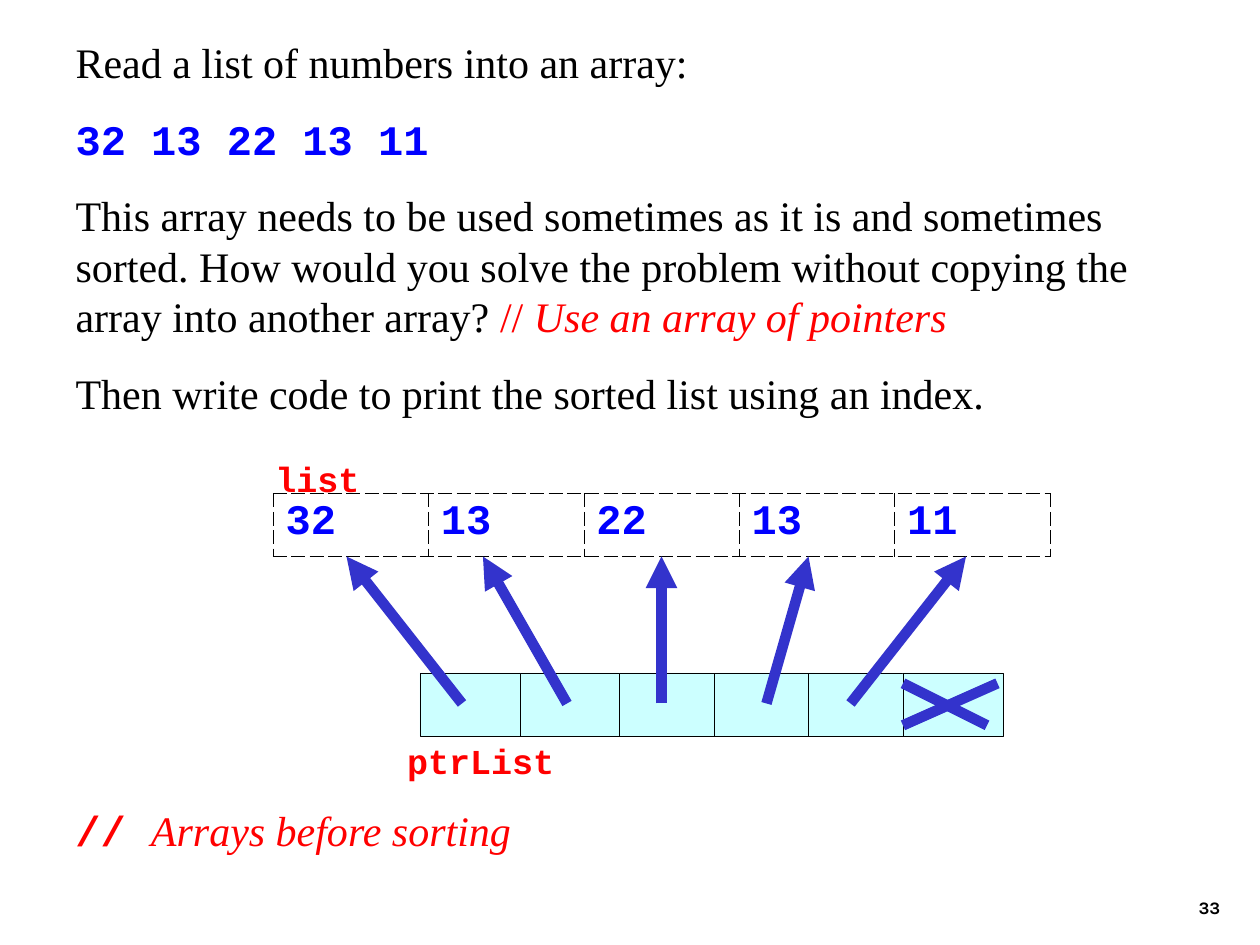
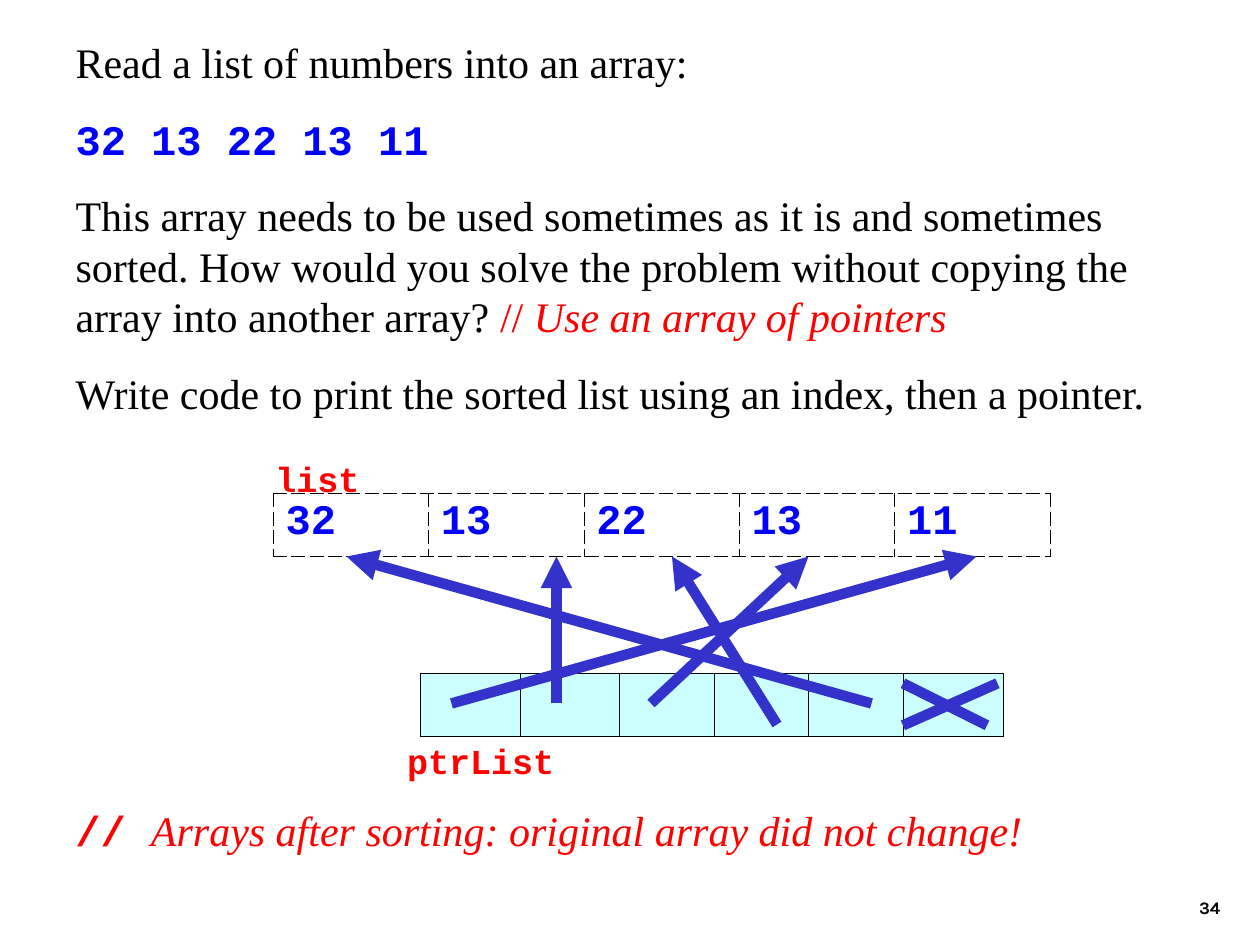
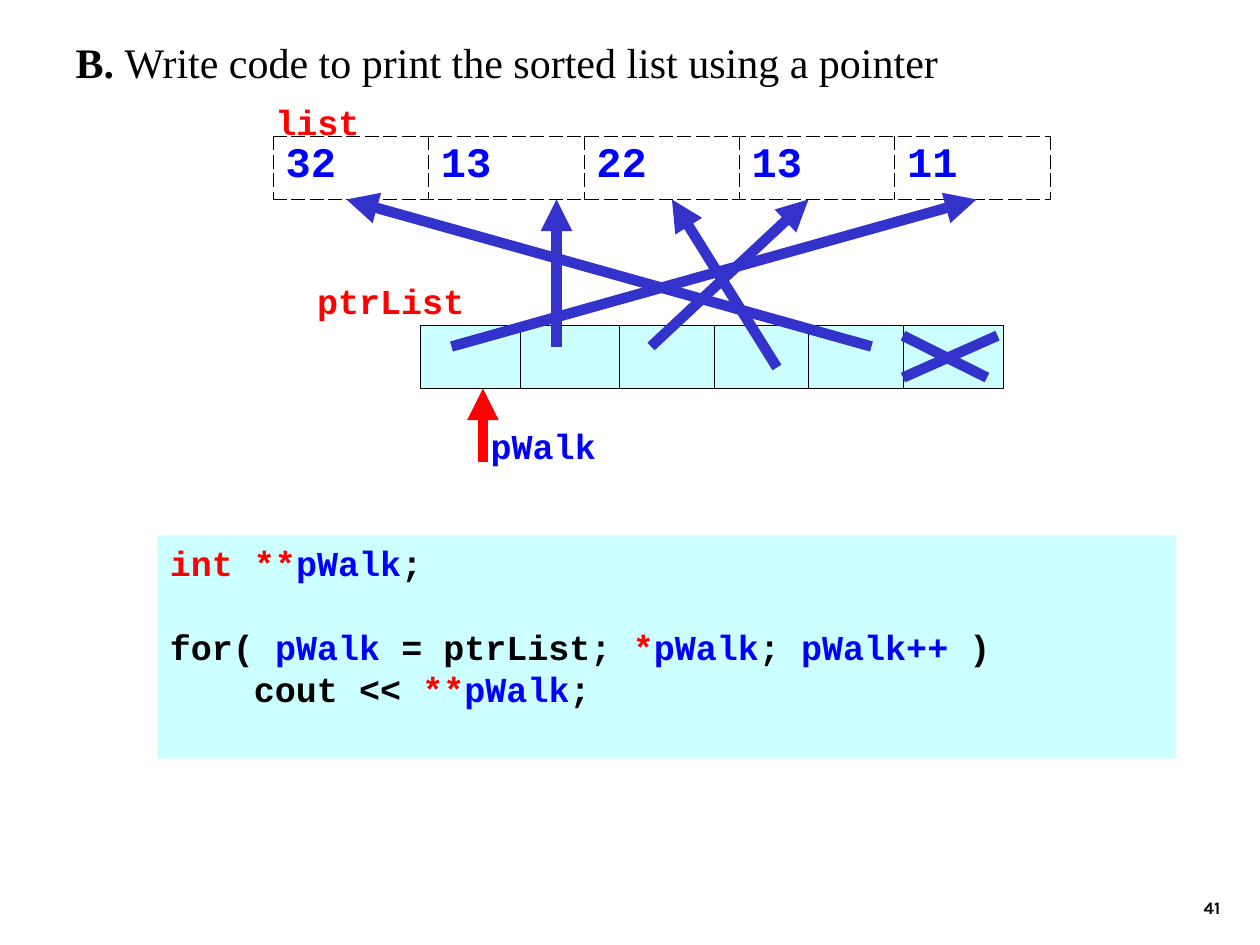
from lxml.etree import SubElement as Sub
from pptx import Presentation
from pptx.dml.color import RGBColor as RGB
from pptx.enum.shapes import MSO_CONNECTOR as Conn, MSO_SHAPE as Kind
from pptx.enum.text import MSO_ANCHOR as Anchor, MSO_AUTO_SIZE as Auto, PP_ALIGN as Align
from pptx.oxml.ns import qn
from pptx.util import Pt

BLACK = RGB(0x00, 0x00, 0x00)
RED = RGB(0xFF, 0x00, 0x00)
BLUE = RGB(0x00, 0x00, 0xFF)
INDIGO = RGB(0x33, 0x33, 0xCC)
AQUA = RGB(0xCC, 0xFF, 0xFF)

SERIF = {"name": "Times New Roman", "size": Pt(24), "bold": False}
STRONG = SERIF | {"bold": True}
SLOPE = SERIF | {"italic": True}
MONO = {"name": "Courier New", "size": Pt(24), "bold": True}
CODE = MONO | {"size": Pt(20)}
PAGE = {"name": "Karla", "size": Pt(10), "bold": True}


def write(shape, box, paras, align=Align.LEFT, gap=15, wrap=True, anchor=Anchor.TOP):
    """Place a shape and fill it with paragraphs of (text, format, colour) runs."""
    if box:
        shape.left, shape.top, shape.width, shape.height = map(Pt, box)
    frame = shape.text_frame
    frame.auto_size = Auto.NONE
    frame.word_wrap = wrap
    frame.vertical_anchor = anchor
    for i, runs in enumerate(paras):
        para = frame.add_paragraph() if i else frame.paragraphs[0]
        props = para._p.get_or_add_pPr()
        props.set("marL", "0")
        props.set("indent", "0")
        Sub(props, qn("a:buNone"))
        para.alignment = align
        para.space_before = Pt(gap if i else 0)
        para.line_spacing = Pt(1.2 * runs[0][1]["size"].pt)
        for text, style, color in runs:
            run = para.add_run()
            run.text = text
            for key, val in style.items():
                setattr(run.font, key, val)
            run.font.color.rgb = color


def draw(shapes, ends, color=INDIGO, head=True):
    """Draw a thick line between two points, with an arrowhead at its end."""
    line = shapes.add_connector(Conn.STRAIGHT, *map(Pt, ends))
    line.line.color.rgb = color
    line.line.width = Pt(6)
    if head:
        Sub(line.line._get_or_add_ln(), qn("a:tailEnd"), type="triangle")
    Sub(line._element.spPr, qn("a:effectLst"))


ASK = [
    [("32 13 22 13 11", MONO, BLUE)],
    [("This array needs to be used sometimes as it is and sometimes sorted. "
      "How would you solve the problem without copying the array into another array? ",
      SERIF, BLACK),
     ("// ", SERIF, RED), ("Use an array of pointers", SLOPE, RED)],
]
READ = [("Read a list of numbers into an array:", SERIF, BLACK)]
WALK = [("B. ", STRONG, BLACK),
        ("Write code to print the sorted list using a pointer", SERIF, BLACK)]

# Arrows as start x, drop of the start below the list, end x
BEFORE = [(264, 84, 198), (324, 84, 276), (378, 84, 378), (438, 84, 462), (486, 84, 552)]
AFTER = [(258, 84, 558), (498, 84, 198), (444, 96, 384), (318, 84, 318), (372, 84, 462)]

# Page, title, task, note, arrows, top of list, top of pointers, place of ptrList
SLIDES = [
    ("33", READ, "Then write code to print the sorted list using an index.",
     "Arrays before sorting", BEFORE, 282, 384.5, (225.4, 419)),
    ("34", READ, "Write code to print the sorted list using an index, then a pointer.",
     "Arrays after sorting: original array did not change!", AFTER, 282, 384.5, (225.4, 419)),
    ("41", WALK, None, None, AFTER, 78, 185.8, (174, 156)),
]
CELLS = [408, 462, 350.5, 296.5, 240, 516]

prs = Presentation()
prs.slide_width, prs.slide_height = Pt(720), Pt(540)

for page, title, task, note, arrows, top, row, name in SLIDES:
    slide = prs.slides.add_slide(prs.slide_layouts[1 if task else 5])
    shapes = slide.shapes
    write(shapes.title, (36, 17.3, 642, 36), [title])
    if task:
        body = ASK + [[(task, SERIF, BLACK)]]
        write(slide.placeholders[1], (36, 61, 642, 182), body)
        write(shapes.add_textbox(0, 0, 0, 0), (36, 456, 642, 36),
              [[("// ", MONO, RED), (note, SLOPE, RED)]])
    write(shapes.add_textbox(0, 0, 0, 0), (554.4, 492, 150, 36), [[(page, PAGE, BLACK)]],
          align=Align.RIGHT, anchor=Anchor.BOTTOM)

    for left in CELLS:
        cell = shapes.add_shape(Kind.RECTANGLE, Pt(left), Pt(row), Pt(57.6), Pt(36))
        cell.shadow.inherit = False
        cell.fill.solid()
        cell.fill.fore_color.rgb = AQUA
        cell.line.color.rgb = BLACK
        cell.line.width = Pt(0.25)
    for start, end in ((570, 516), (516, 564)):
        draw(shapes, (start, row + 6, end, row + 30), head=False)

    grid = shapes.add_table(1, 5, Pt(156), Pt(top), Pt(444), Pt(36)).table
    grid.first_row = grid.horz_banding = False
    for cell, num in zip(grid.iter_cells(), ("32", "13", "22", "13", "11")):
        props = cell._tc.get_or_add_tcPr()
        for side in "LRTB":
            edge = Sub(props, qn(f"a:ln{side}"), w=str(Pt(0.11)))
            ink = Sub(edge, qn("a:solidFill"))
            Sub(ink, qn("a:srgbClr"), val=str(BLACK))
            Sub(edge, qn("a:prstDash"), val="dash")
        cell.fill.background()
        para = cell.text_frame.paragraphs[0]
        para.text = num
        for key, val in MONO.items():
            setattr(para.font, key, val)
        para.font.color.rgb = BLUE

    for start, drop, end in arrows:
        draw(shapes, (start, top + 36 + drop, end, top + 36))

    tags = [("list", (150, top - 24, 62.5, 31.5), RED),
            ("ptrList", (*name, 98.5, 31.5), RED)]
    if not task:
        draw(shapes, (276, 264, 276, 222), RED)
        tags.append(("pWalk", (273.6, 239, 74, 31.5), BLUE))
    for text, box, color in tags:
        write(shapes.add_textbox(0, 0, 0, 0), box, [[(text, CODE, color)]],
              align=Align.RIGHT, wrap=False)

# Code panel on the last slide
panel = shapes.add_shape(Kind.RECTANGLE, Pt(90), Pt(306), Pt(582), Pt(127.5))
panel.shadow.inherit = False
panel.fill.solid()
panel.fill.fore_color.rgb = AQUA
panel.line.fill.background()
INT = [("int **", RED), ("pWalk", BLUE), (";", BLACK)]
FOR = [("for( ", BLACK), ("pWalk", BLUE), (" = ptrList; ", BLACK), ("*", RED),
       ("pWalk", BLUE), ("; ", BLACK), ("pWalk++", BLUE), (" )", BLACK)]
OUT = [("    cout << ", BLACK), ("**", RED), ("pWalk", BLUE), (";", BLACK)]
write(panel, None, [[(text, CODE, color) for text, color in line] for line in (INT, FOR, OUT)],
      gap=0)
panel.text_frame.paragraphs[1].space_before = Pt(24)

prs.save("out.pptx")
